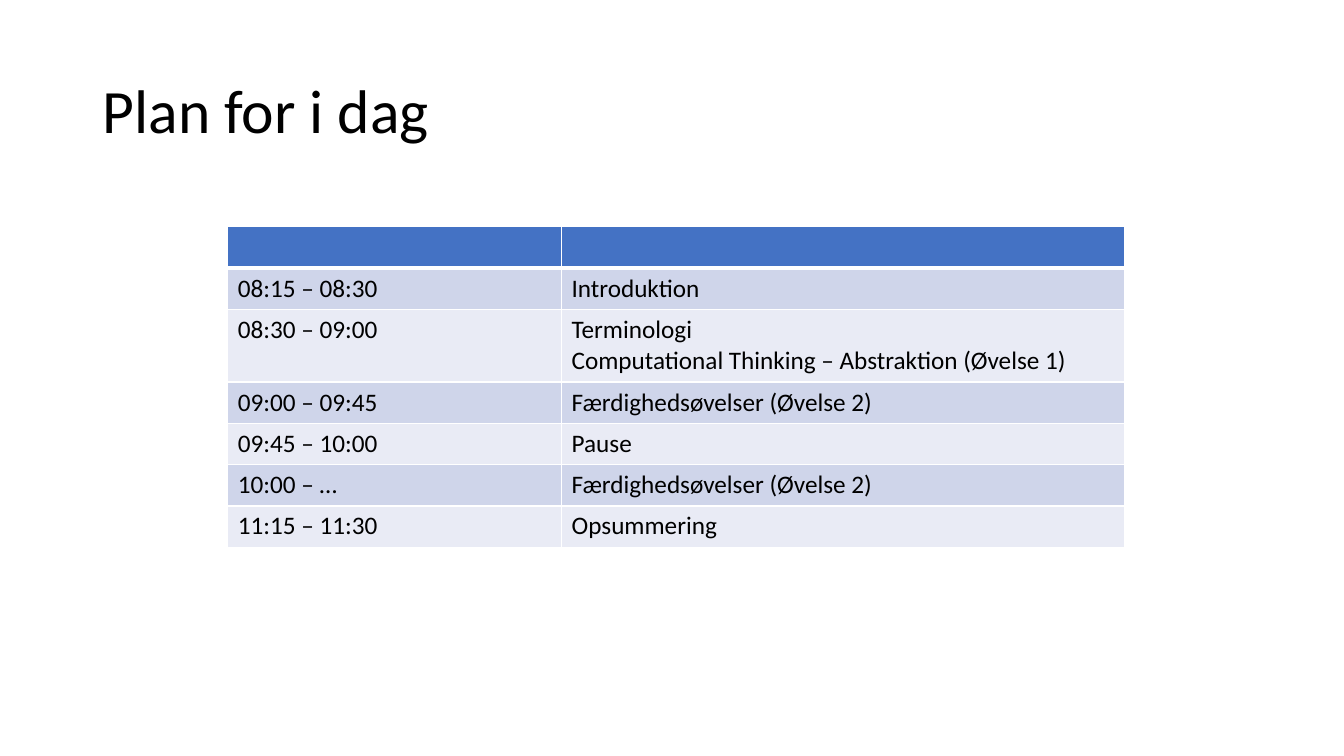
import dataclasses

import lxml.etree
import pptx
import pptx.dml.color
import pptx.enum.text
import pptx.oxml.ns
import pptx.util

SLIDE_WIDTH = pptx.util.Inches(13.33)
SLIDE_HEIGHT = pptx.util.Inches(7.5)
FONT = "Calibri"
BLACK, WHITE, HEADER_BLUE = "000000", "FFFFFF", "4472C4"
BANDS = ("CFD5EA", "E9EBF5")
LINE_HEIGHT = 0.31  # inches per line of table text
CELL_PADDING = 0.1  # inches above and below together


@dataclasses.dataclass(frozen=True)
class Area:
    """A region of the slide, as shares of its width and height."""
    left: float
    top: float
    width: float
    height: float

    def lengths(self) -> tuple[int, int, int, int]:
        return (int(self.left * SLIDE_WIDTH), int(self.top * SLIDE_HEIGHT),
                int(self.width * SLIDE_WIDTH), int(self.height * SLIDE_HEIGHT))


@dataclasses.dataclass(frozen=True)
class Session:
    time: str = ""
    topics: tuple[str, ...] = ("",)


TITLE_AREA = Area(0.92 / 13.33, 0.4 / 7.5, 11.5 / 13.33, 1.45 / 7.5)
TABLE_AREA = Area(2.26 / 13.33, 0.3, 8.89 / 13.33, 3.13 / 7.5)
COLUMN_SHARES = (3.31 / 8.89, 5.58 / 8.89)

SESSIONS = (
    Session(),  # the header row is empty
    Session("08:15 – 08:30", ("Introduktion",)),
    Session("08:30 – 09:00", ("Terminologi", "Computational Thinking – Abstraktion (Øvelse 1)")),
    Session("09:00 – 09:45", ("Færdighedsøvelser (Øvelse 2)",)),
    Session("09:45 – 10:00", ("Pause",)),
    Session("10:00 – …", ("Færdighedsøvelser (Øvelse 2)",)),
    Session("11:15 – 11:30", ("Opsummering",)),
)


def color(value: str) -> pptx.dml.color.RGBColor:
    return pptx.dml.color.RGBColor.from_string(value)


def write(text_frame, lines: tuple[str, ...], size: float) -> None:
    text_frame.text = "\n".join(lines)
    formats = {"name": FONT, "size": pptx.util.Pt(size)}
    for paragraph in text_frame.paragraphs:
        for run in paragraph.runs:
            for name, value in formats.items():
                setattr(run.font, name, value)
            run.font.color.rgb = color(BLACK)


def add_borders(cell, widths: dict[str, float]) -> None:
    properties = cell._tc.get_or_add_tcPr()
    qualified = pptx.oxml.ns.qn
    for side, width in widths.items():
        line = lxml.etree.SubElement(properties, qualified(f"a:ln{side}"), w=str(pptx.util.Pt(width)))
        fill = lxml.etree.SubElement(line, qualified("a:solidFill"))
        lxml.etree.SubElement(fill, qualified("a:srgbClr"), val=WHITE)


def add_title(slide, text: str) -> None:
    text_frame = slide.shapes.add_textbox(*TITLE_AREA.lengths()).text_frame
    formats = {"word_wrap": True, "vertical_anchor": pptx.enum.text.MSO_ANCHOR.MIDDLE}
    for name, value in formats.items():
        setattr(text_frame, name, value)
    write(text_frame, (text,), 44)
    text_frame.paragraphs[0].line_spacing = 0.9


def add_schedule(slide, sessions: tuple[Session, ...]) -> None:
    area = TABLE_AREA.lengths()
    table = slide.shapes.add_table(len(sessions), len(COLUMN_SHARES), *area).table
    for column, share in zip(table.columns, COLUMN_SHARES):
        column.width = int(area[2] * share)
    for index, session in enumerate(sessions):
        row = table.rows[index]
        row.height = pptx.util.Inches(CELL_PADDING + LINE_HEIGHT * len(session.topics))
        background = BANDS[(index - 1) % 2] if index else HEADER_BLUE
        # A thicker line parts the header from the sessions
        widths = {"L": 1, "R": 1, "T": 3 if index == 1 else 1, "B": 1 if index else 3}
        for cell, lines in zip(row.cells, ((session.time,), session.topics)):
            write(cell.text_frame, lines, 18)
            add_borders(cell, widths)
            cell.fill.solid()
            cell.fill.fore_color.rgb = color(background)


def main() -> None:
    presentation = pptx.Presentation()
    presentation.slide_width = SLIDE_WIDTH
    presentation.slide_height = SLIDE_HEIGHT
    slide = presentation.slides.add_slide(presentation.slide_layouts[6])
    add_title(slide, "Plan for i dag")
    add_schedule(slide, SESSIONS)
    presentation.save("out.pptx")


if __name__ == "__main__":
    main()
